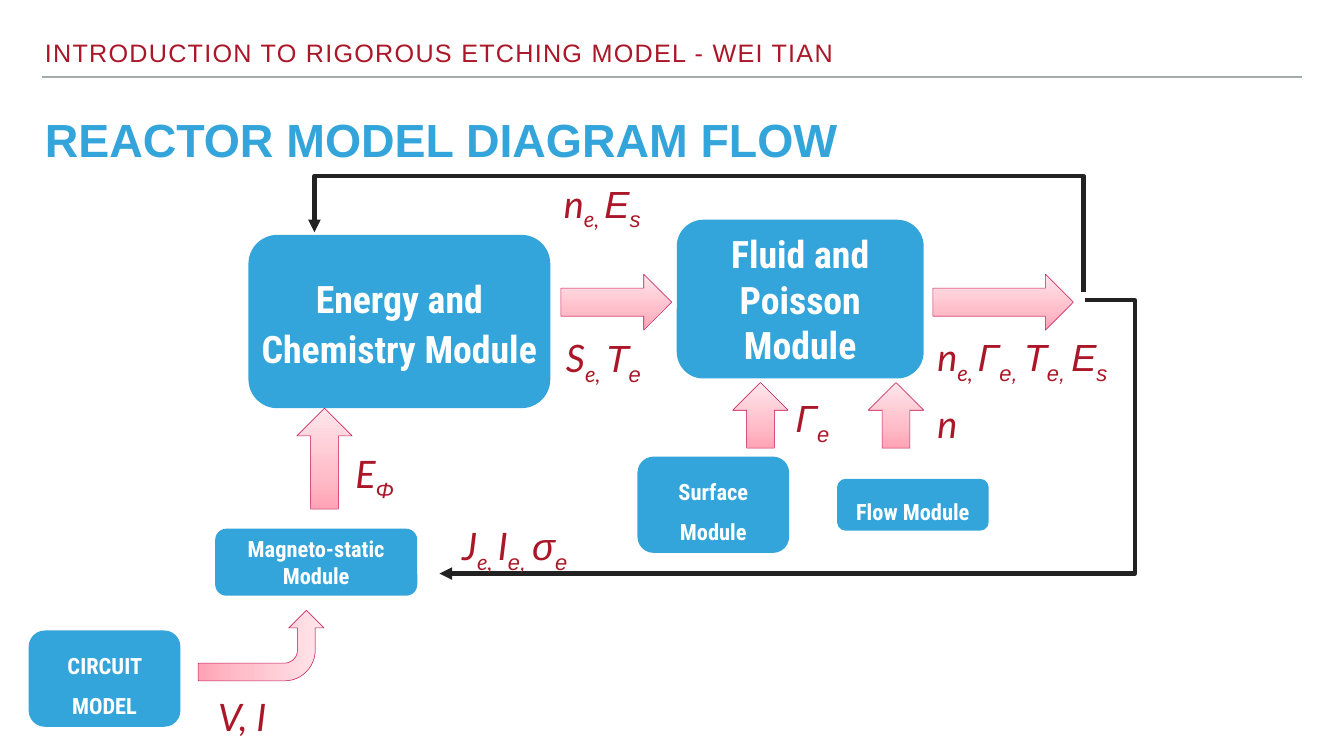
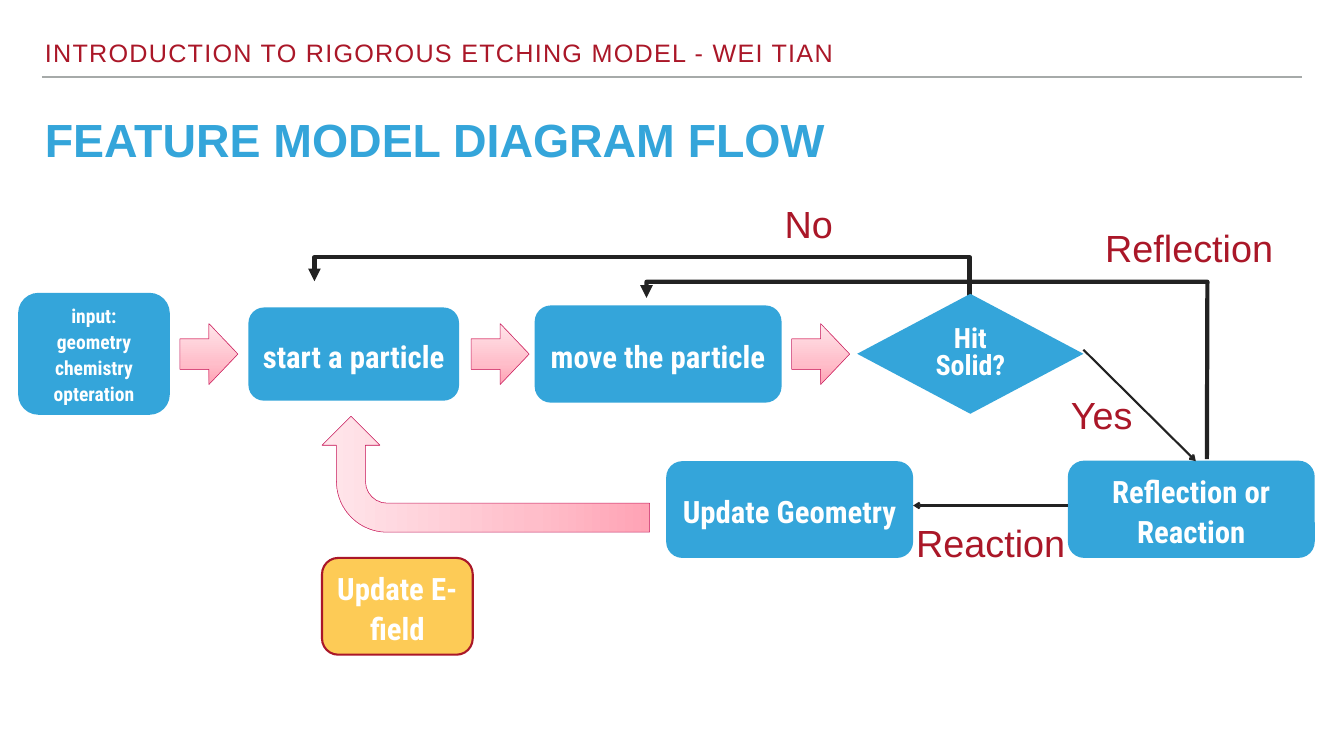
from copy import deepcopy
from pptx import Presentation
from pptx.dml.color import RGBColor
from pptx.enum.shapes import MSO_CONNECTOR, MSO_SHAPE
from pptx.enum.text import MSO_ANCHOR, MSO_AUTO_SIZE, PP_ALIGN
from pptx.oxml.ns import qn
from pptx.util import Inches, Pt

BLUE = RGBColor(0x34, 0xA5, 0xDA)
RED = RGBColor(0xAA, 0x17, 0x28)
GOLD = RGBColor(0xFD, 0xCB, 0x56)
WHITE = RGBColor(0xFF, 0xFF, 0xFF)
GREY = RGBColor(0xA6, 0xAA, 0xA9)
BLACK = RGBColor(0x22, 0x22, 0x22)
ROSE = RGBColor(0xC5, 0x1B, 0x5D)
PINKS = [(0, RGBColor(0xFF, 0xA3, 0xB5)),
         (0.35, RGBColor(0xFF, 0xBE, 0xCA)),
         (1, RGBColor(0xFF, 0xE6, 0xEB))]

HEADER = "INTRODUCTION TO RIGOROUS ETCHING MODEL - WEI TIAN"
SANS, MATH, BOLD = "Arial", "Lato", "Roboto Condensed"


def inches(*values):
    return [Inches(v) for v in values]


def set_frame(frame, anchor, fit=MSO_AUTO_SIZE.SHAPE_TO_FIT_TEXT):
    frame.word_wrap = True
    frame.auto_size = fit
    frame.vertical_anchor = anchor
    frame.margin_left = frame.margin_right = Inches(0.06)
    frame.margin_top = frame.margin_bottom = Inches(0.06)


def set_font(font, name, size, color, bold=False, italic=False):
    font.name, font.size, font.color.rgb = name, Pt(size), color
    font.bold, font.italic = bold, italic


def set_line(shape, color, width, head=None):
    """Style a line; head names the arrowhead at its end."""
    shape.line.color.rgb = color
    shape.line.width = Pt(width)
    if head:
        line = shape._element.spPr.find(qn("a:ln"))
        line.append(line.makeelement(qn("a:tailEnd"), {"type": head}))


def add_line(slide, start, end, color, width, head=None):
    line = slide.shapes.add_connector(
        MSO_CONNECTOR.STRAIGHT, *inches(*start, *end))
    set_line(line, color, width, head)
    props = line._element.spPr
    props.append(props.makeelement(qn("a:effectLst"), {}))


def add_loop(slide, *points):
    """Draw a thick feedback line through the points, ending in an arrow."""
    spots = [inches(*p) for p in points]
    build = slide.shapes.build_freeform(*spots[0], scale=1.0)
    build.add_line_segments(spots[1:], close=False)
    loop = build.convert_to_shape()
    loop.shadow.inherit = False
    loop.fill.background()
    set_line(loop, BLACK, 6, "triangle")


def add_box(slide, text, place, size, space=1.1,
            kind=MSO_SHAPE.ROUNDED_RECTANGLE, fill=BLUE, edge=None):
    box = slide.shapes.add_shape(kind, *inches(*place))
    box.shadow.inherit = False
    box.fill.solid()
    box.fill.fore_color.rgb = fill
    if edge:
        set_line(box, edge, 3)
    else:
        box.line.fill.background()
    frame = box.text_frame
    set_frame(frame, MSO_ANCHOR.MIDDLE)
    frame.text = text
    for para in frame.paragraphs:
        para.alignment = PP_ALIGN.CENTER
        para.line_spacing = space
        set_font(para.font, BOLD, size, WHITE, bold=True)


def add_arrow(slide, kind, place, turn=0, flips=()):
    arrow = slide.shapes.add_shape(kind, *inches(*place))
    arrow.shadow.inherit = False
    arrow.rotation = turn
    props = arrow._element.spPr
    for flip in flips:
        props.find(qn("a:xfrm")).set(flip, "1")
    arrow.fill.gradient()
    arrow.fill.gradient_angle = 90
    stops = props.find(qn("a:gradFill")).find(qn("a:gsLst"))
    stops.insert(1, deepcopy(stops[0]))
    for stop, (spot, color) in zip(arrow.fill.gradient_stops, PINKS):
        stop.position, stop.color.rgb = spot, color
    set_line(arrow, ROSE, 0.75)


def add_label(slide, text, left, top, width, sans=0, italic=True):
    """Add a label: "|" toggles subscript, parts from index sans on are Arial."""
    box = slide.shapes.add_textbox(*inches(left, top, width, 1.11))
    set_frame(box.text_frame, MSO_ANCHOR.MIDDLE)
    para = box.text_frame.paragraphs[0]
    para.line_spacing, para.space_before = 1.1, Pt(20)
    for i, part in enumerate(text.split("|")):
        run = para.add_run()
        run.text = part
        set_font(run.font, SANS if i >= sans else MATH, 54, RED, italic=italic)
        if i % 2:
            run.font._element.set("baseline", "-25000")


def add_slide(deck, title):
    slide = deck.slides.add_slide(deck.slide_layouts[5])
    add_line(slide, (0.83, 1.53), (25.83, 1.53), GREY, 2)
    head = slide.shapes.add_textbox(*inches(0.83, 0.79, 22.92, 0.6))
    set_frame(head.text_frame, MSO_ANCHOR.BOTTOM)
    para = head.text_frame.paragraphs[0]
    para.line_spacing = 0.8
    run = para.add_run()
    run.text = HEADER
    set_font(run.font, SANS, 36, RED)
    run.font._element.set("spc", "180")

    shape = slide.shapes.title
    shape.left, shape.top, shape.width, shape.height = inches(
        0.83, 2.36, 25, 1.11)
    set_frame(shape.text_frame, MSO_ANCHOR.TOP, MSO_AUTO_SIZE.NONE)
    shape.text_frame.text = title
    para = shape.text_frame.paragraphs[0]
    para.alignment = PP_ALIGN.LEFT
    para.line_spacing, para.space_before = 0.8, Pt(39)
    set_font(para.font, SANS, 66.4, BLUE, bold=True)
    return slide


def add_reactor(deck):
    slide = add_slide(deck, "REACTOR MODEL DIAGRAM FLOW")
    for text, place, size, space in [
            ("Fluid and Poisson Module", (13.43, 4.36, 4.9, 3.15), 54, 1.0),
            ("Energy and Chemistry Module", (4.93, 4.66, 5.99, 3.44), 54, 1.1),
            ("CIRCUIT MODEL", (0.57, 12.51, 3.01, 1.91), 32, 1.5),
            ("Magneto-static Module", (4.27, 10.49, 4.01, 1.33), 32, 1.0),
            ("Surface Module", (12.65, 9.06, 3.01, 1.91), 32, 1.5),
            ("Flow Module", (16.61, 9.5, 3.01, 1.03), 32, 1.5)]:
        add_box(slide, text, place, size, space)

    for left, width in [(11.13, 2.2), (18.51, 2.79)]:
        add_arrow(slide, MSO_SHAPE.RIGHT_ARROW, (left, 5.44, width, 1.11))
    for left, top, height in [(5.89, 8.1, 2), (14.54, 7.59, 1.3),
                              (17.23, 7.59, 1.3)]:
        add_arrow(slide, MSO_SHAPE.UP_ARROW, (left, top, 1.1, height))
    add_arrow(slide, MSO_SHAPE.BENT_ARROW, (4.48, 11.56, 1.4, 2.5),
              270, ["flipV"])

    add_loop(slide, (21.5, 5.79), (21.5, 3.49), (6.24, 3.49), (6.24, 4.61))
    add_loop(slide, (21.53, 5.96), (22.52, 5.96), (22.52, 11.38),
             (8.72, 11.38))

    for text, left, top, width, sans in [
            ("n|e, |Γ|e, |T|e, |E|s", 18.54, 6.53, 4.11, 2),
            ("S|e, |T|e", 11.17, 6.55, 2.28, 2),
            ("V, I", 4.27, 13.62, 1.73, 1),
            ("E|Φ", 6.99, 8.85, 2.28, 1),
            ("n|e, |E|s", 11.13, 3.49, 4.11, 2),
            ("J|e, |I|e, |σ|e", 9.11, 10.28, 4.11, 3),
            ("Γ|e", 15.73, 7.74, 1.11, 0),
            ("n", 18.54, 7.81, 0.84, 1)]:
        add_label(slide, text, left, top, width, sans)


def add_feature(deck):
    slide = add_slide(deck, "FEATURE MODEL DIAGRAM FLOW")
    add_box(slide, "input:\ngeometry\nchemistry\nopteration",
            (0.36, 5.81, 3.01, 2.42), 28)
    for text, place in [
            ("move the particle", (10.61, 6.06, 4.9, 1.93)),
            ("start a particle", (4.93, 6.1, 4.18, 1.85)),
            ("Reflection or Reaction", (21.19, 9.14, 4.9, 1.93)),
            ("Update Geometry", (13.22, 9.15, 4.9, 1.92))]:
        add_box(slide, text, place, 44)
    add_box(slide, "Update E-field", (6.39, 11.07, 2.99, 1.92), 44,
            fill=GOLD, edge=RED)

    for left in (3.57, 9.35, 15.71):
        add_arrow(slide, MSO_SHAPE.RIGHT_ARROW, (left, 6.42, 1.15, 1.21))
    add_arrow(slide, MSO_SHAPE.BENT_ARROW, (8.49, 6.16, 2.3, 6.5),
              90, ["flipH", "flipV"])

    add_loop(slide, (19.24, 6.1), (19.24, 5.1), (6.24, 5.1), (6.24, 5.58))
    add_box(slide, "Hit Solid?", (17.01, 5.83, 4.49, 2.38), 40, 0.8,
            MSO_SHAPE.DIAMOND)
    add_loop(slide, (23.95, 9.11), (23.96, 5.59), (12.83, 5.59),
             (12.83, 5.91))
    add_line(slide, (21.5, 6.94), (23.73, 9.15), BLACK, 3, "arrow")
    add_line(slide, (21.19, 10.03), (18.12, 10.03), BLACK, 3, "arrow")

    for text, left, top, width in [
            ("No", 15.51, 3.83, 1.11), ("Yes", 21.19, 7.62, 1.5),
            ("Reflection", 21.87, 4.3, 3.97),
            ("Reaction", 18.12, 10.17, 3.97)]:
        add_label(slide, text, left, top, width, italic=False)


def main():
    deck = Presentation()
    deck.slide_width, deck.slide_height = inches(26.67, 15)
    add_reactor(deck)
    add_feature(deck)
    deck.save("out.pptx")


if __name__ == "__main__":
    main()
